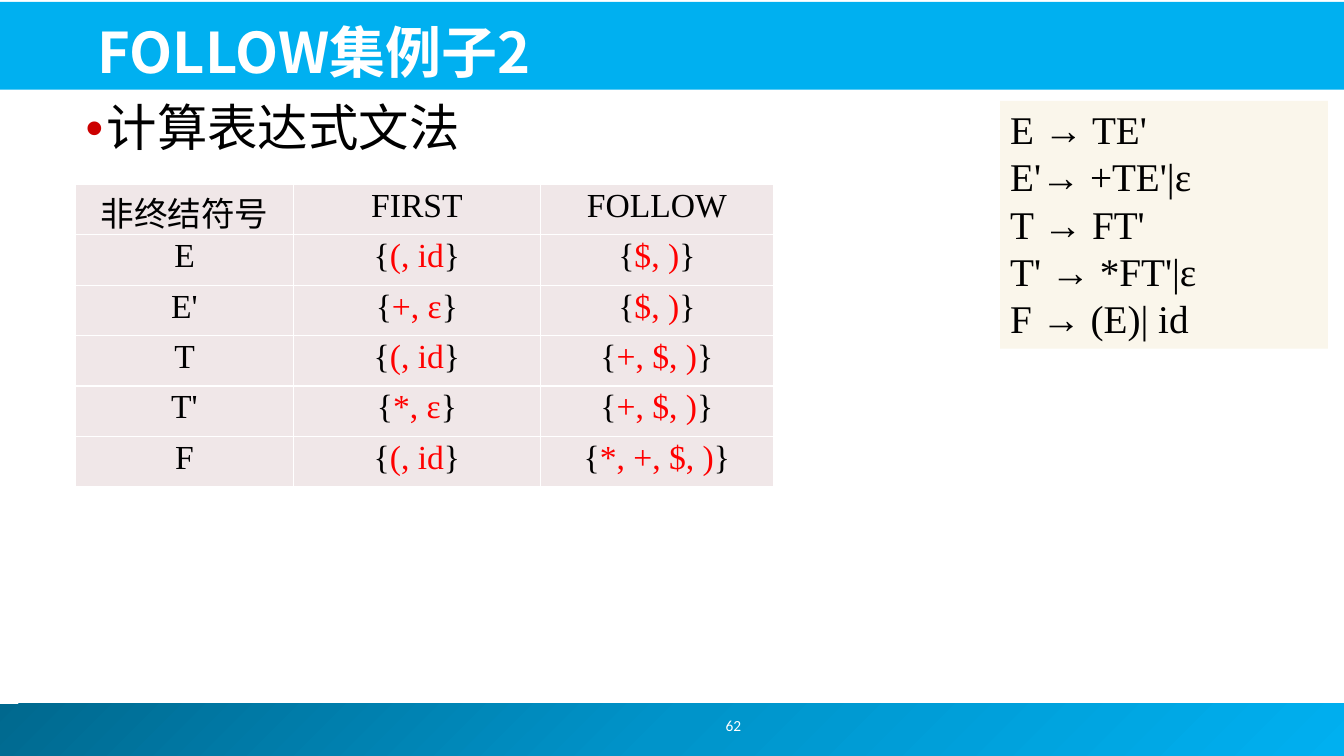
import copy
import pptx
import pptx.util
import pptx.dml.color
import pptx.enum.shapes
import pptx.enum.text
import pptx.oxml
import pptx.oxml.ns

TITLE = "FOLLOW集例子2"
TOPIC = "计算表达式文法"
PAGE = "62"
RULES = ["E → TE'", "E'→ +TE'|ε", "T → FT'", "T' → *FT'|ε", "F → (E)| id"]
HEADS = ["非终结符号", "FIRST", "FOLLOW"]
SETS = [
    ("E", "(, id", "$, )"),
    ("E'", "+, ε", "$, )"),
    ("T", "(, id", "+, $, )"),
    ("T'", "*, ε", "+, $, )"),
    ("F", "(, id", "*, +, $, )"),
]
WIDTHS = [2.16, 2.45, 2.31]
ROW = 0.5

THEME = {
    "blue": "00B0F0", "white": "FFFFFF", "black": "000000", "red": "FF0000",
    "dot": "CC0000", "cream": "FAF6EB", "cell": "F0E7E8",
    "fade": [(0, "00688E"), (0.5, "0094CA"), (1, "00B0F0")],
    "serif": "Times New Roman", "sans": "Calibri", "han": "Noto Sans CJK JP",
    "title": 40, "topic": 36, "rule": 28, "table": 24, "page": 11,
}

Inches = pptx.util.Inches
ALIGN = pptx.enum.text.PP_ALIGN
ANCHOR = pptx.enum.text.MSO_ANCHOR
RECT = pptx.enum.shapes.MSO_SHAPE.RECTANGLE
qn = pptx.oxml.ns.qn
NS = pptx.oxml.ns.nsdecls("a")


def color(name):
    return pptx.dml.color.RGBColor.from_string(THEME.get(name, name))


def style(par, size, face="serif", tint="black", bold=False):
    font = par.font
    font.size = pptx.util.Pt(THEME[size])
    font.bold = bold
    font.color.rgb = color(tint)
    font.name = THEME[face]
    base = par._p.pPr.find(qn("a:defRPr"))
    base.append(pptx.oxml.parse_xml(f'<a:ea {NS} typeface="{THEME["han"]}"/>'))


def box(slide, area, anchor, pad=0.05):
    frame = slide.shapes.add_textbox(*map(Inches, area)).text_frame
    frame.word_wrap = True
    frame.vertical_anchor = anchor
    frame.margin_top = frame.margin_bottom = Inches(pad)
    return frame


def block(slide, area, fill=None):
    shape = slide.shapes.add_shape(RECT, *map(Inches, area))
    shape.shadow.inherit = False
    shape.line.fill.background()
    if fill:
        shape.fill.solid()
        shape.fill.fore_color.rgb = color(fill)
    return shape


def fade(shape):
    shape.fill.gradient()
    shape.fill.gradient_angle = 315
    stops = shape._element.spPr.find(qn("a:gradFill")).find(qn("a:gsLst"))
    stops.insert(1, copy.deepcopy(stops[0]))
    for stop, (place, tint) in zip(shape.fill.gradient_stops, THEME["fade"]):
        stop.position = place
        stop.color.rgb = color(tint)


def bullet(par):
    props = par._p.get_or_add_pPr()
    props.set("marL", str(Inches(0.21)))
    props.set("indent", str(Inches(-0.21)))
    for part in (
        f'<a:buClr {NS}><a:srgbClr val="{THEME["dot"]}"/></a:buClr>',
        f'<a:buFont {NS} typeface="Arial"/>',
        f'<a:buChar {NS} char="•"/>',
    ):
        props.append(pptx.oxml.parse_xml(part))


def border(cell):
    props = cell._tc.get_or_add_tcPr()
    for spot, side in enumerate("LRTB"):
        props.insert(spot, pptx.oxml.parse_xml(
            f'<a:ln{side} {NS} w="12700"><a:solidFill>'
            f'<a:srgbClr val="{THEME["white"]}"/></a:solidFill></a:ln{side}>'))


def table(slide):
    rows = len(SETS) + 1
    area = (0.75, 1.83, sum(WIDTHS), rows * ROW)
    grid = slide.shapes.add_table(rows, len(HEADS), *map(Inches, area)).table
    for col, width in zip(grid.columns, WIDTHS):
        col.width = Inches(width)
    for r, line in enumerate([HEADS, *SETS]):
        for c, text in enumerate(line):
            cell = grid.cell(r, c)
            cell.margin_top = Inches(0.03)
            cell.margin_bottom = 0
            cell.fill.solid()
            cell.fill.fore_color.rgb = color("cell")
            border(cell)
            par = cell.text_frame.paragraphs[0]
            par.alignment = ALIGN.CENTER
            style(par, "table")
            if r and c:
                for part, tint in (("{", "black"), (text, "red"), ("}", "black")):
                    run = par.add_run()
                    run.text = part
                    run.font.color.rgb = color(tint)
            else:
                par.add_run().text = text


def main():
    deck = pptx.Presentation()
    deck.slide_width = Inches(13.33)
    deck.slide_height = Inches(7.5)
    slide = deck.slides.add_slide(deck.slide_layouts[6])

    fade(block(slide, (-0.05, 6.98, 13.39, 0.52)))
    block(slide, (-0.02, 0.02, 13.36, 0.87), "blue")

    topic = box(slide, (0.75, 1, 9, 0.67), ANCHOR.TOP, 0).paragraphs[0]
    topic.text = TOPIC
    topic.line_spacing = 0.95
    bullet(topic)
    style(topic, "topic")

    page = box(slide, (5.83, 6.95, 2.89, 0.5), ANCHOR.MIDDLE).paragraphs[0]
    page.text = PAGE
    page.alignment = ALIGN.CENTER
    style(page, "page", "sans", "white")

    title = box(slide, (0.87, 0.05, 12.06, 0.79), ANCHOR.BOTTOM, 0).paragraphs[0]
    title.text = TITLE
    style(title, "title", "han", "white", True)

    frame = block(slide, (9.92, 1, 3.25, 2.46), "cream").text_frame
    frame.vertical_anchor = ANCHOR.TOP
    frame.text = "\n".join(RULES)
    for par in frame.paragraphs:
        par.alignment = ALIGN.LEFT
        style(par, "rule")

    table(slide)
    deck.save("out.pptx")


if __name__ == "__main__":
    main()
